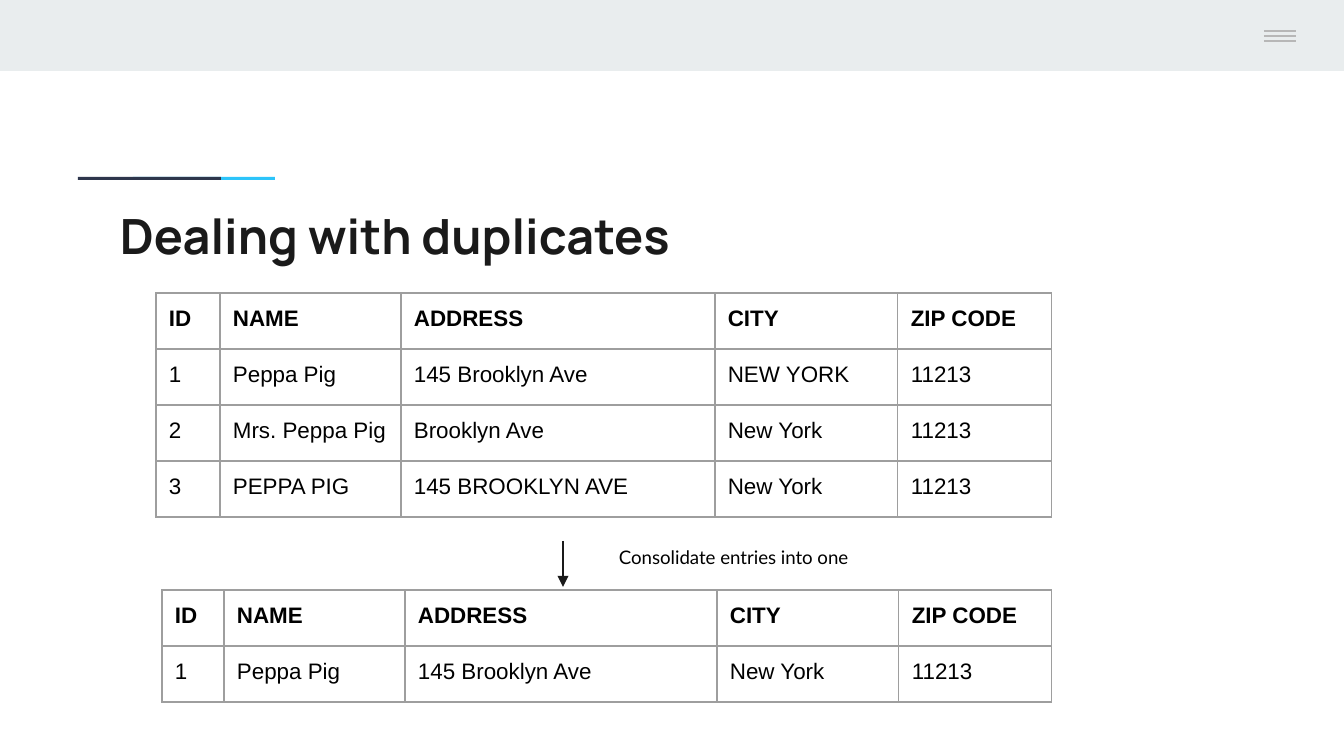
import dataclasses

import pptx
import pptx.dml.color
import pptx.enum.shapes
import pptx.enum.text
import pptx.oxml
import pptx.oxml.ns
import pptx.util

EMU_PER_PX = 914400 / 134.4


@dataclasses.dataclass(frozen=True)
class Theme:
    band: str = "E9EDEE"
    navy: str = "2E364C"
    sky: str = "2CC4FA"
    menu: str = "B7B7B7"
    ink: str = "1A1A1A"
    body: str = "000000"
    border: str = "9E9E9E"
    title_font: str = "Manrope"
    table_font: str = "Arial"
    label_font: str = "Lato"
    title_size: int = 26
    table_size: int = 12
    label_size: int = 10
    thin: float = 0.75
    thick: float = 1.5
    inset: int = 13


def px(length):
    return pptx.util.Emu(round(length * EMU_PER_PX))


def color(code):
    return pptx.dml.color.RGBColor.from_string(code)


class Painter:
    """Draws themed elements on the current slide, in px."""

    def __init__(self, slide, theme):
        self.slide = slide
        self.theme = theme

    def bar(self, left, top, width, height, fill):
        shape = self.slide.shapes.add_shape(
            pptx.enum.shapes.MSO_SHAPE.RECTANGLE, px(left), px(top), px(width), px(height))
        shape.shadow.inherit = False
        shape.fill.solid()
        shape.fill.fore_color.rgb = color(fill)
        shape.line.fill.background()

    def line(self, start, end, stroke, width, arrow=False):
        connector = self.slide.shapes.add_connector(
            pptx.enum.shapes.MSO_CONNECTOR.STRAIGHT, *map(px, start + end))
        connector.line.color.rgb = color(stroke)
        connector.line.width = pptx.util.Pt(width)
        properties = connector._element.spPr
        namespace = pptx.oxml.ns.nsdecls("a")
        if arrow:
            properties.get_or_add_ln().append(
                pptx.oxml.parse_xml(f'<a:tailEnd {namespace} type="triangle"/>'))
        properties.append(pptx.oxml.parse_xml(f"<a:effectLst {namespace}/>"))

    def fill_text(self, frame, text, font, size, ink, bold=False):
        frame.text = text
        frame.margin_left = frame.margin_right = px(self.theme.inset)
        frame.margin_top = frame.margin_bottom = px(self.theme.inset)
        for span in frame.paragraphs[0].runs:
            span.font.name = font
            span.font.size = pptx.util.Pt(size)
            span.font.bold = bold
            span.font.color.rgb = color(ink)

    def text(self, left, top, width, height, text, font, size, ink, bold=False):
        box = self.slide.shapes.add_textbox(px(left), px(top), px(width), px(height))
        box.text_frame.word_wrap = True
        box.text_frame.vertical_anchor = pptx.enum.text.MSO_ANCHOR.TOP
        self.fill_text(box.text_frame, text, font, size, ink, bold)

    def borders(self, cell):
        properties = cell._tc.get_or_add_tcPr()
        width = pptx.util.Pt(self.theme.thin)
        for position, side in enumerate(("lnL", "lnR", "lnT", "lnB")):
            properties.insert(position, pptx.oxml.parse_xml(
                f'<a:{side} {pptx.oxml.ns.nsdecls("a")} w="{width}"><a:solidFill>'
                f'<a:srgbClr val="{self.theme.border}"/></a:solidFill></a:{side}>'))

    def table(self, left, top, widths, row_height, rows):
        theme = self.theme
        table = self.slide.shapes.add_table(
            len(rows), len(widths), px(left), px(top),
            px(sum(widths)), px(row_height * len(rows))).table
        table.horz_banding = False
        for column, width in zip(table.columns, widths):
            column.width = px(width)
        for row_index, values in enumerate(rows):
            table.rows[row_index].height = px(row_height)
            for column_index, value in enumerate(values):
                cell = table.cell(row_index, column_index)
                cell.fill.background()
                self.fill_text(cell.text_frame, value, theme.table_font,
                               theme.table_size, theme.body, row_index == 0)
                cell.margin_left = cell.margin_right = px(theme.inset)
                cell.margin_top = cell.margin_bottom = px(theme.inset)
                self.borders(cell)


def main():
    deck = pptx.Presentation()
    deck.slide_width, deck.slide_height = px(1344), px(756)
    theme = Theme()
    painter = Painter(deck.slides.add_slide(deck.slide_layouts[6]), theme)

    painter.bar(0, 0, 1344, 71, theme.band)
    painter.bar(133, 177, 142, 3, theme.sky)
    painter.bar(78, 177, 143, 3, theme.navy)
    for y in (31, 36, 41):
        painter.line((1264, y), (1296, y), theme.menu, theme.thin)

    painter.text(107, 193, 1130, 79, "Dealing with duplicates",
                 theme.title_font, theme.title_size, theme.ink, bold=True)

    header = ("ID", "NAME", "ADDRESS", "CITY", "ZIP CODE")
    painter.table(156, 293, (64, 181, 314, 183, 154), 56, (
        header,
        ("1", "Peppa Pig", "145 Brooklyn Ave", "NEW YORK", "11213"),
        ("2", "Mrs. Peppa Pig", "Brooklyn Ave", "New York", "11213"),
        ("3", "PEPPA PIG", "145 BROOKLYN AVE", "New York", "11213")))
    painter.table(162, 590, (62, 181, 312, 182, 153), 56, (
        header,
        ("1", "Peppa Pig", "145 Brooklyn Ave", "New York", "11213")))

    painter.text(606, 535, 356, 50, "Consolidate entries into one",
                 theme.label_font, theme.label_size, theme.body)
    painter.line((563, 541), (563, 587), theme.ink, theme.thick, arrow=True)

    deck.save("out.pptx")


if __name__ == "__main__":
    main()
